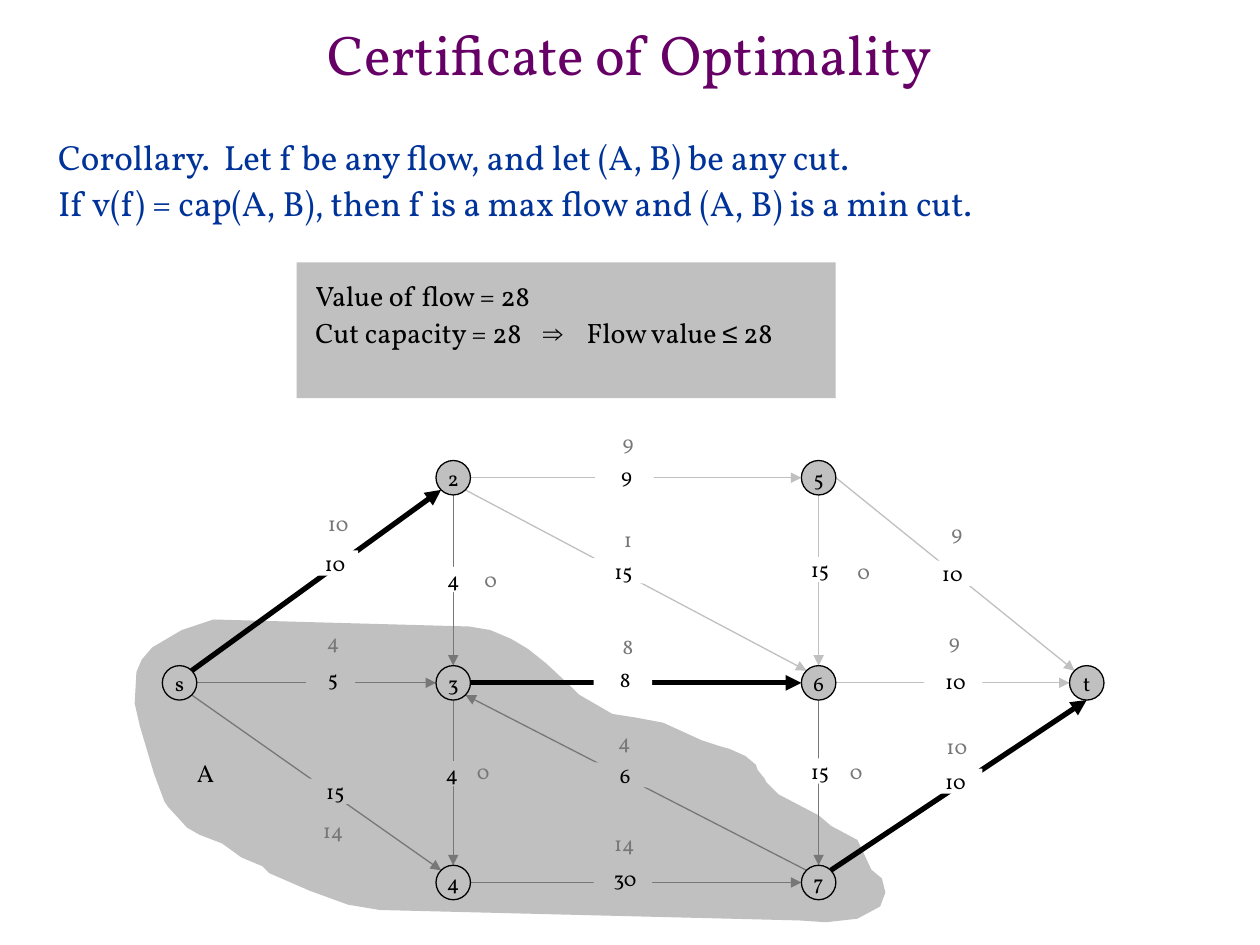
"""Build the max-flow / min-cut certificate of optimality slide."""
from dataclasses import dataclass
from math import sqrt

from lxml import etree
from pptx import Presentation
from pptx.dml.color import RGBColor
from pptx.enum.shapes import MSO_CONNECTOR, MSO_SHAPE
from pptx.enum.text import MSO_ANCHOR, MSO_AUTO_SIZE, PP_ALIGN
from pptx.oxml.ns import qn
from pptx.util import Pt

LEFT, CENTER = PP_ALIGN.LEFT, PP_ALIGN.CENTER
TOP, MIDDLE = MSO_ANCHOR.TOP, MSO_ANCHOR.MIDDLE
FIXED, GROW = MSO_AUTO_SIZE.NONE, MSO_AUTO_SIZE.SHAPE_TO_FIT_TEXT
STRAIGHT = MSO_CONNECTOR.STRAIGHT
RECTANGLE, OVAL = MSO_SHAPE.RECTANGLE, MSO_SHAPE.OVAL

FACE, SYMBOL_FACE = "Vollkorn", "Arial"
BLACK, WHITE, SILVER, GRAY = "000000", "FFFFFF", "C0C0C0", "777777"
PURPLE, BLUE = "660066", "003399"

RADIUS = 9.85
DIAGONAL = 1 / sqrt(2)
SIDES = {
    "E": (1, 0), "W": (-1, 0), "N": (0, -1), "S": (0, 1),
    "NE": (DIAGONAL, -DIAGONAL), "NW": (-DIAGONAL, -DIAGONAL),
    "SE": (DIAGONAL, DIAGONAL), "SW": (-DIAGONAL, DIAGONAL),
}
COLUMNS = (102.6, 259, 467.8, 621)
ROWS = (273, 390.2, 504.3)
NODES = {
    "s": (0, 1), "2": (1, 0), "3": (1, 1), "4": (1, 2),
    "5": (2, 0), "6": (2, 1), "7": (2, 2), "t": (3, 1),
}
CUT_OUTLINE = (
    (438, 447), (445, 454), (468, 466), (475, 472), (490, 480), (498, 497),
    (504, 502), (506, 510), (503, 518), (490, 525), (472, 527), (457, 526),
    (217, 520), (199, 517), (177, 509), (154, 499), (150, 495), (138, 490),
    (127, 482), (114, 477), (107, 473), (96, 461), (94, 458), (88, 442),
    (80, 415), (77, 402), (78, 384), (81, 377), (87, 370), (104, 360),
    (122, 353.5), (268, 358), (280, 360.5), (292, 365), (302, 371), (312, 379),
    (326, 392), (331, 397), (350, 408), (363, 410), (379, 413), (401, 423),
    (410, 426), (417, 428), (426, 432), (432, 437), (433, 440), (437, 445),
)


@dataclass(frozen=True)
class Edge:
    """A directed edge with the centres of its flow and capacity labels."""

    start: str
    leave: str
    end: str
    enter: str
    flow: int
    flow_at: tuple[float, float]
    capacity: int
    capacity_at: tuple[float, float]
    color: str = SILVER
    patch: str = WHITE
    weight: float = 0.75
    patch_width: float = 33.5
    lead: float = 2.5


EDGES = (
    Edge("s", "NE", "2", "SW", 10, (193.3, 298.4), 10, (187.9, 321.8), BLACK, weight=3, lead=7),
    Edge("s", "E", "3", "W", 4, (190.4, 366.1), 5, (189, 387.4), GRAY, SILVER, patch_width=28),
    Edge("s", "SE", "4", "NW", 14, (190.4, 473.8), 15, (190.4, 452.2), GRAY, SILVER),
    Edge("3", "E", "6", "W", 8, (358.9, 369), 8, (356, 388.1), BLACK, weight=3),
    Edge("7", "NW", "3", "SE", 4, (356.8, 423), 6, (356, 442.8), GRAY, SILVER),
    Edge("3", "S", "4", "N", 0, (276.1, 440.3), 4, (257, 442.1), GRAY, SILVER),
    Edge("2", "E", "5", "W", 9, (358.9, 252.4), 9, (356.8, 271.4)),
    Edge("4", "E", "7", "W", 14, (356.8, 481.3), 30, (356, 501.8), GRAY, SILVER),
    Edge("2", "S", "3", "N", 0, (280.4, 330.8), 4, (257.8, 331.2), GRAY),
    Edge("6", "S", "7", "N", 0, (489.2, 440.3), 15, (467.3, 440.6), GRAY),
    Edge("5", "S", "6", "N", 0, (493.6, 325.8), 15, (467.3, 325.4)),
    Edge("2", "SE", "6", "NW", 1, (358.9, 307.8), 15, (355, 326.2)),
    Edge("5", "E", "t", "NW", 9, (546.8, 303.5), 10, (540.7, 327.6), lead=7),
    Edge("6", "E", "t", "W", 9, (545.4, 366.1), 10, (544.7, 389.5)),
    Edge("7", "NE", "t", "S", 10, (546.8, 425.9), 10, (544.7, 446.4), BLACK, weight=3),
)


def rgb(color: str) -> RGBColor:
    """Turn a hex string into a colour."""
    return RGBColor.from_string(color)


def place(shape, left: float, top: float, width: float, height: float) -> None:
    """Move and size a shape in points."""
    shape.left, shape.top = Pt(left), Pt(top)
    shape.width, shape.height = Pt(width), Pt(height)


def paint(shape, fill: str, outline: str | None = None) -> None:
    """Give a shape a flat fill and an optional thin outline."""
    shape.shadow.inherit = False
    shape.fill.solid()
    shape.fill.fore_color.rgb = rgb(fill)
    if outline:
        shape.line.color.rgb = rgb(outline)
        shape.line.width = Pt(0.75)
    else:
        shape.line.fill.background()


def setup_frame(frame, anchor, insets=(0, 0), wrap=True, fit=FIXED) -> None:
    """Set the anchor, horizontal and vertical insets, wrapping and fit."""
    frame.vertical_anchor, frame.word_wrap, frame.auto_size = anchor, wrap, fit
    frame.margin_left = frame.margin_right = Pt(insets[0])
    frame.margin_top = frame.margin_bottom = Pt(insets[1])


def style(paragraph, size: float, color: str, align=CENTER, face: str = FACE) -> None:
    """Set the alignment and font of a paragraph."""
    paragraph.alignment = align
    paragraph.font.size, paragraph.font.name = Pt(size), face
    paragraph.font.color.rgb = rgb(color)


def add_label(slide, text: str, at: tuple[float, float], width: float, height: float,
              size: float = 12, color: str = BLACK) -> None:
    """Write a centred label around a point."""
    label = slide.shapes.add_textbox(
        Pt(at[0] - width / 2), Pt(at[1] - height / 2), Pt(width), Pt(height))
    setup_frame(label.text_frame, TOP)
    label.text_frame.text = text
    style(label.text_frame.paragraphs[0], size, color)


def add_capacity(slide, edge: Edge) -> None:
    """Write the capacity on a patch that interrupts its edge."""
    x, y = edge.capacity_at
    patch = slide.shapes.add_shape(
        RECTANGLE, Pt(x - edge.patch_width / 2), Pt(y - 7.2), Pt(edge.patch_width), Pt(14.4))
    paint(patch, edge.patch)
    setup_frame(patch.text_frame, TOP, fit=GROW)
    patch.text_frame.margin_left = Pt(edge.lead)
    patch.text_frame.text = str(edge.capacity)
    style(patch.text_frame.paragraphs[0], 12, BLACK)


def node_center(name: str) -> tuple[float, float]:
    """Look up the centre of a node on the grid."""
    column, row = NODES[name]
    return COLUMNS[column], ROWS[row]


def rim(name: str, side: str) -> tuple[int, int]:
    """Find the point on one side of a node's circle."""
    return tuple(Pt(c + RADIUS * d) for c, d in zip(node_center(name), SIDES[side]))


def add_edge(slide, edge: Edge) -> None:
    """Draw the arrow of an edge."""
    arrow = slide.shapes.add_connector(
        STRAIGHT, *rim(edge.start, edge.leave), *rim(edge.end, edge.enter))
    arrow.line.color.rgb, arrow.line.width = rgb(edge.color), Pt(edge.weight)
    etree.SubElement(arrow.line._get_or_add_ln(), qn("a:tailEnd"), type="triangle")
    etree.SubElement(arrow._element.spPr, qn("a:effectLst"))


def add_node(slide, name: str) -> None:
    """Draw a named node."""
    x, y = node_center(name)
    node = slide.shapes.add_shape(
        OVAL, Pt(x - RADIUS), Pt(y - RADIUS), Pt(2 * RADIUS), Pt(2 * RADIUS))
    paint(node, SILVER, BLACK)
    setup_frame(node.text_frame, MIDDLE, (7.2, 3.6), wrap=False)
    node.text_frame.text = name
    style(node.text_frame.paragraphs[0], 12, BLACK)


def add_headings(slide) -> None:
    """Fill the title and the corollary."""
    title, corollary = slide.placeholders
    place(title, 0, 12.2, 720, 45.4)
    setup_frame(title.text_frame, MIDDLE, (7.2, 3.6))
    title.text_frame.text = "Certificate of Optimality"
    heading = title.text_frame.paragraphs[0]
    heading.line_spacing = 0.7
    style(heading, 32, PURPLE)

    place(corollary, 26, 72, 669, 426)
    setup_frame(corollary.text_frame, TOP, (7.2, 3.6))
    corollary.text_frame.text = (
        "Corollary.  Let f be any flow, and let (A, B) be any cut.\v"
        "If v(f) = cap(A, B), then f is a max flow and (A, B) is a min cut.")
    statement = corollary.text_frame.paragraphs[0]
    statement.line_spacing, statement.space_before = Pt(26), Pt(0)
    properties = statement._p.get_or_add_pPr()
    properties.set("marL", "0")
    properties.set("indent", "0")
    etree.SubElement(properties, qn("a:buNone"))
    style(statement, 20, BLUE, LEFT)


def add_summary(slide) -> None:
    """Compare the flow value with the cut capacity."""
    summary = slide.shapes.add_shape(RECTANGLE, Pt(169.5), Pt(150), Pt(308), Pt(77.5))
    paint(summary, SILVER)
    setup_frame(summary.text_frame, TOP, (10.8, 7.2))
    comparison = summary.text_frame.paragraphs[0]
    comparison.line_spacing = 1.1
    stops = etree.SubElement(comparison._p.get_or_add_pPr(), qn("a:tabLst"))
    for stop in (130, 155):
        etree.SubElement(stops, qn("a:tab"), pos=str(Pt(stop)), algn="l")
    style(comparison, 16, BLACK, LEFT)
    comparison.add_run().text = "Value of flow = 28"
    comparison.add_line_break()
    for text in ("Cut capacity = 28\t", "⇒", "\tFlow value ", "≤", " 28"):
        run = comparison.add_run()
        run.text = text
        run.font.name = SYMBOL_FACE if text in "⇒≤" else FACE


def main() -> None:
    """Build and save the slide."""
    deck = Presentation()
    deck.slide_width, deck.slide_height = Pt(720), Pt(540)
    slide = deck.slides.add_slide(deck.slide_layouts[1])
    add_headings(slide)
    outline = slide.shapes.build_freeform(*CUT_OUTLINE[0], scale=Pt(1))
    outline.add_line_segments(CUT_OUTLINE[1:], close=True)
    paint(outline.convert_to_shape(), SILVER)
    add_summary(slide)
    for edge in EDGES:
        add_edge(slide, edge)
    for name in NODES:
        add_node(slide, name)
    for edge in EDGES:
        add_capacity(slide, edge)
    for edge in EDGES:
        add_label(slide, str(edge.flow), edge.flow_at, 26.6, 13.6, color=GRAY)
    add_label(slide, "A", (117.4, 441.7), 10, 16.6, size=14)
    deck.save("out.pptx")


if __name__ == "__main__":
    main()
